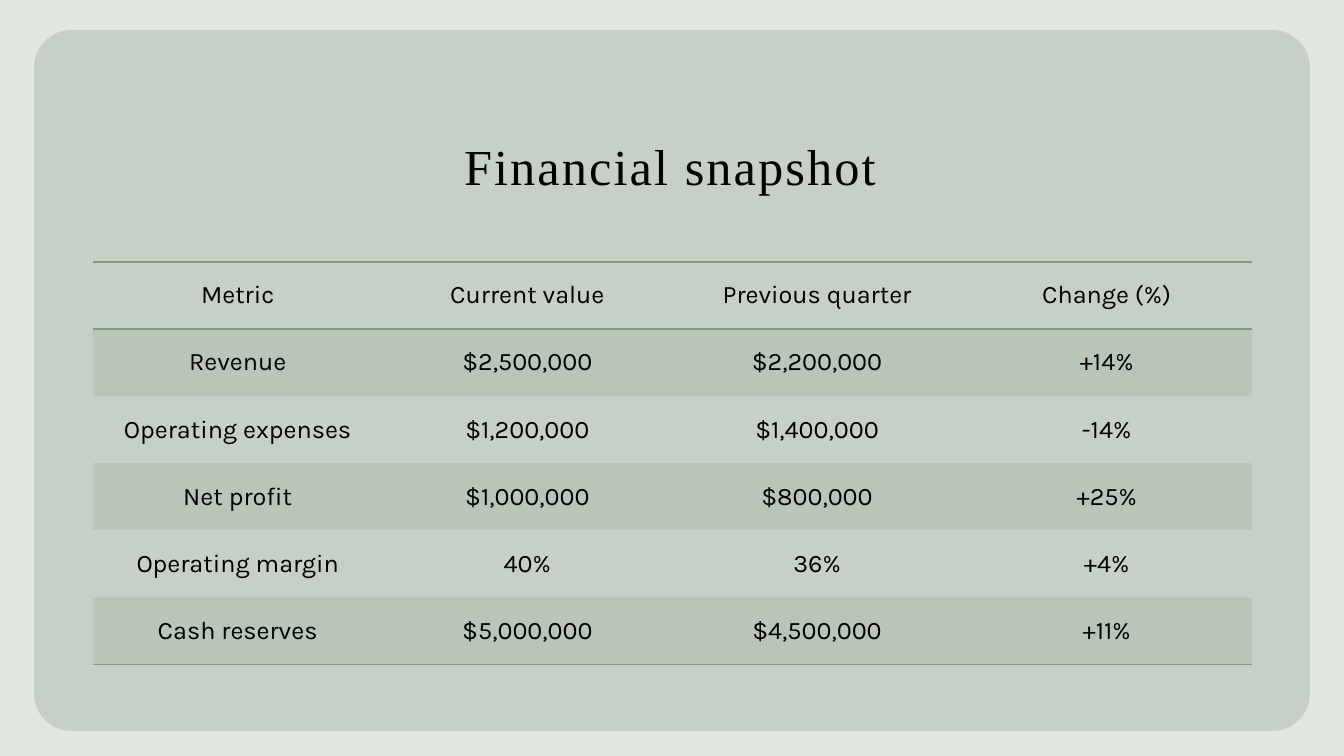
from dataclasses import dataclass

from lxml.etree import SubElement
from pptx import Presentation
from pptx.dml.color import RGBColor
from pptx.enum.shapes import MSO_SHAPE
from pptx.enum.text import MSO_ANCHOR, PP_ALIGN
from pptx.oxml.ns import qn
from pptx.slide import Slide
from pptx.table import _Cell
from pptx.util import Cm, Pt

COLORS = {
    "background": "E1E6E1",
    "panel": "B5C2B6",
    "accent": "839985",
    "text": "000000",
}
COLUMN_WIDTH = 7.3
ROW_HEIGHT = 1.69


@dataclass(frozen=True)
class MetricRow:
    metric: str
    current: str
    previous: str
    change: str
    shaded: bool = False
    top_rule: bool = False
    bottom_rule: bool = False

    def texts(self) -> tuple[str, ...]:
        return self.metric, self.current, self.previous, self.change


ROWS = [
    MetricRow("Metric", "Current value", "Previous quarter", "Change (%)",
              top_rule=True, bottom_rule=True),
    MetricRow("Revenue", "$2,500,000", "$2,200,000", "+14%", shaded=True, top_rule=True),
    MetricRow("Operating expenses", "$1,200,000", "$1,400,000", "-14%"),
    MetricRow("Net profit", "$1,000,000", "$800,000", "+25%", shaded=True),
    MetricRow("Operating margin", "40%", "36%", "+4%"),
    MetricRow("Cash reserves", "$5,000,000", "$4,500,000", "+11%",
              shaded=True, bottom_rule=True),
]


def color(name: str) -> RGBColor:
    return RGBColor.from_string(COLORS[name])


def fill_translucent(fill, properties, name: str, percent: int) -> None:
    fill.solid()
    fill.fore_color.rgb = color(name)
    tint = properties.find(qn("a:solidFill")).find(qn("a:srgbClr"))
    SubElement(tint, qn("a:alpha"), val=str(percent * 1000))


def style_text(paragraph, font_name: str, size: int) -> None:
    paragraph.alignment = PP_ALIGN.CENTER
    for span in paragraph.runs:
        span.font.name = font_name
        span.font.size = Pt(size)
        span.font.bold = False
        span.font.color.rgb = color("text")


def set_borders(cell: _Cell, top: bool, bottom: bool) -> None:
    properties = cell._tc.get_or_add_tcPr()
    sides = {"a:lnL": False, "a:lnR": False, "a:lnT": top, "a:lnB": bottom}
    for tag, visible in sides.items():
        line = SubElement(properties, qn(tag), w=str(Pt(1)))
        if visible:
            paint = SubElement(line, qn("a:solidFill"))
            SubElement(paint, qn("a:srgbClr"), val=COLORS["accent"])
        else:
            SubElement(line, qn("a:noFill"))


def add_panel(page: Slide) -> None:
    panel = page.shapes.add_shape(
        MSO_SHAPE.ROUNDED_RECTANGLE, Cm(0.86), Cm(0.76), Cm(32.15), Cm(17.66))
    panel.adjustments[0] = 0.053
    panel.shadow.inherit = False
    panel.line.fill.background()
    fill_translucent(panel.fill, panel._element.spPr, "panel", 60)


def add_title(page: Slide, text: str) -> None:
    box = page.shapes.add_textbox(Cm(2.03), Cm(2.03), Cm(29.72), Cm(3.05))
    frame = box.text_frame
    frame.word_wrap = True
    frame.vertical_anchor = MSO_ANCHOR.BOTTOM
    frame.text = text
    paragraph = frame.paragraphs[0]
    paragraph.line_spacing = 0.9
    style_text(paragraph, "Times New Roman", 36)
    for span in paragraph.runs:
        span.font._element.set("spc", "150")


def add_metrics_table(page: Slide, rows: list[MetricRow]) -> None:
    column_count = len(rows[0].texts())
    table = page.shapes.add_table(
        len(rows), column_count, Cm(2.34), Cm(6.6),
        Cm(COLUMN_WIDTH * column_count), Cm(ROW_HEIGHT * len(rows))).table
    table.first_row = False
    table.horz_banding = False
    for column in table.columns:
        column.width = Cm(COLUMN_WIDTH)
    for row_index, row in enumerate(rows):
        table.rows[row_index].height = Cm(ROW_HEIGHT)
        for column_index, text in enumerate(row.texts()):
            cell = table.cell(row_index, column_index)
            cell.text_frame.text = text
            cell.vertical_anchor = MSO_ANCHOR.MIDDLE
            style_text(cell.text_frame.paragraphs[0], "Karla", 18)
            set_borders(cell, row.top_rule, row.bottom_rule)
            if row.shaded:
                fill_translucent(cell.fill, cell._tc.tcPr, "accent", 20)
            else:
                cell.fill.background()


def main() -> None:
    deck = Presentation()
    deck.slide_width = Cm(33.87)
    deck.slide_height = Cm(19.05)
    page = deck.slides.add_slide(deck.slide_layouts[6])
    page.background.fill.solid()
    page.background.fill.fore_color.rgb = color("background")
    add_panel(page)
    add_title(page, "Financial snapshot")
    add_metrics_table(page, ROWS)
    deck.save("out.pptx")


if __name__ == "__main__":
    main()
